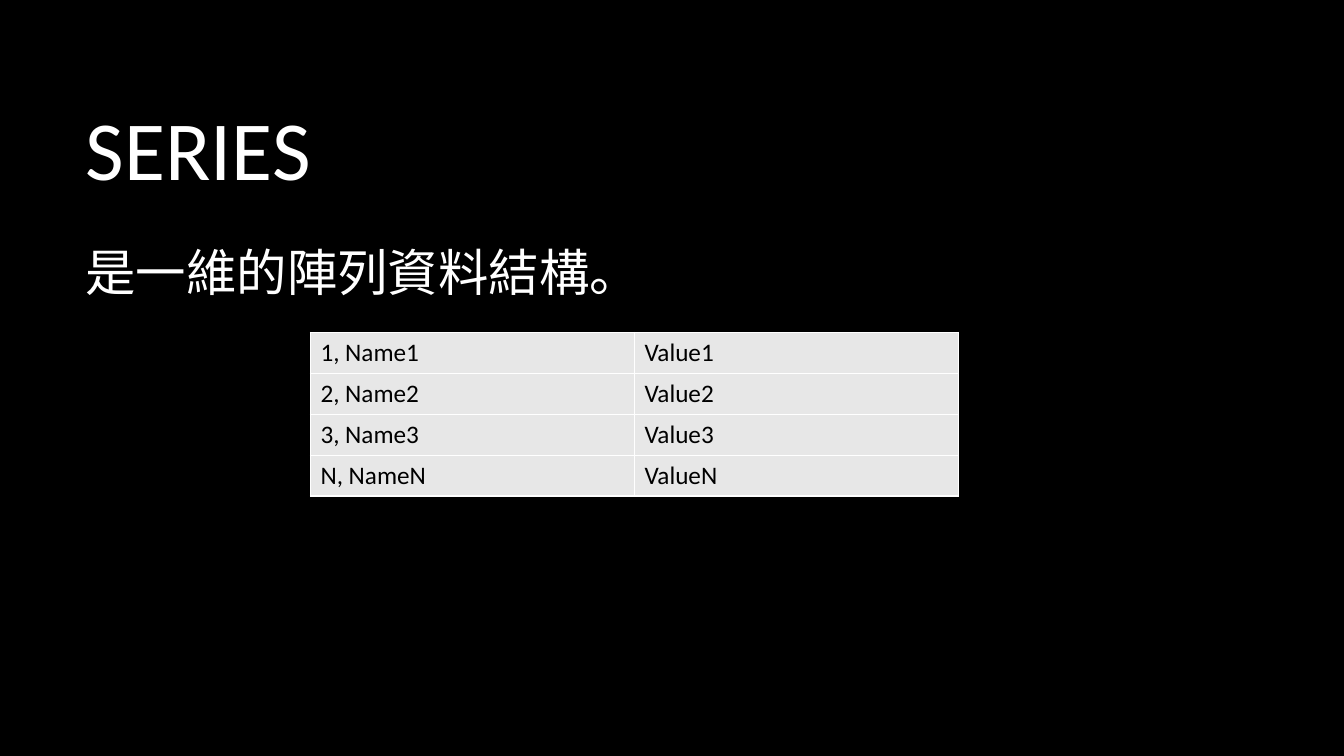
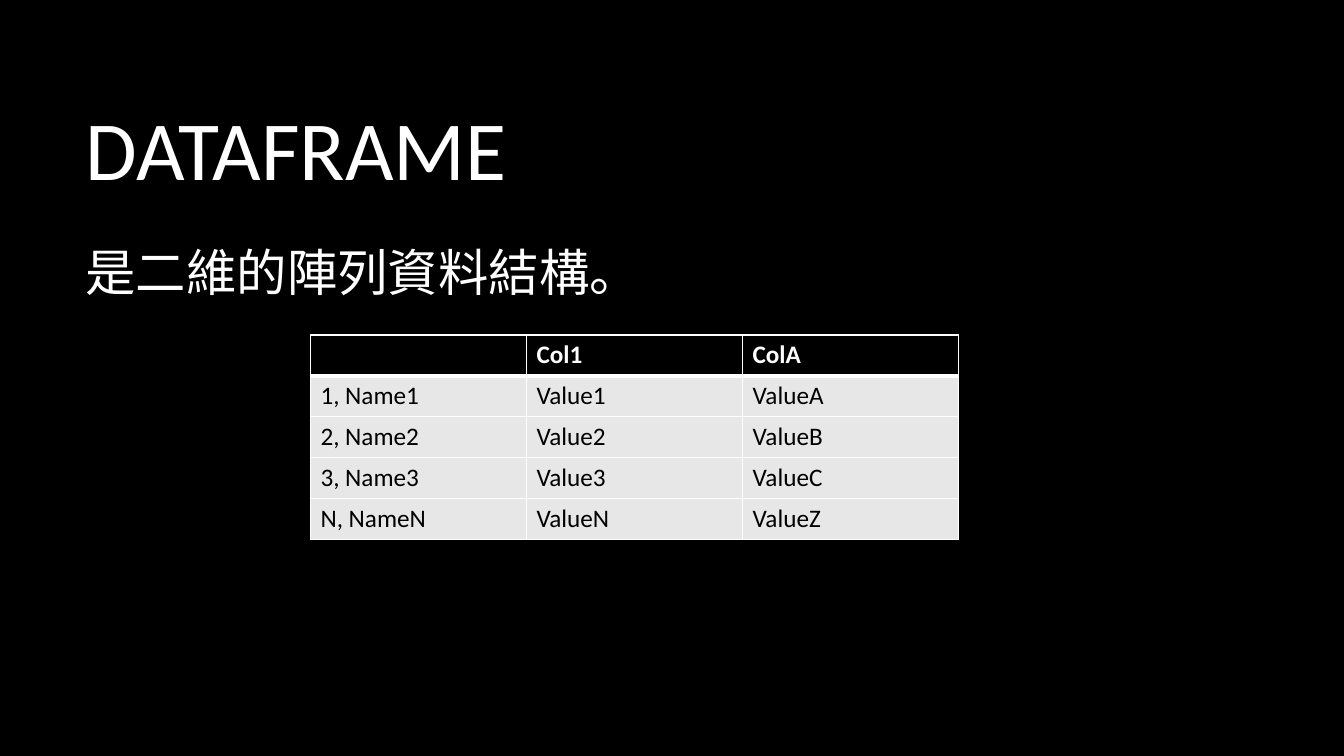
from pptx import Presentation
from pptx.dml.color import RGBColor as Rgb
from pptx.enum.text import MSO_ANCHOR as Anchor, MSO_AUTO_SIZE as Fit, PP_ALIGN as Align
from pptx.oxml import parse_xml
from pptx.oxml.ns import nsdecls
from pptx.util import Pt

HUES = {"back": "000000", "light": "FFFFFF", "dark": "000000", "row": "E7E7E7"}


class Deck:
    font = "Calibri"
    left, width = 54, 798

    def __init__(self):
        self.prs = Presentation()
        self.prs.slide_width, self.prs.slide_height = Pt(960), Pt(540)
        fill = self.prs.slide_master.background.fill
        fill.solid()
        fill.fore_color.rgb = self.hue("back")

    def hue(self, name):
        return Rgb.from_string(HUES[name])

    def style(self, para, size, hue, bold=False):
        font = para.font
        font.name, font.size, font.bold = self.font, Pt(size), bold
        font.color.rgb = self.hue(hue)
        para.alignment = Align.LEFT

    def label(self, shape, text, size, anchor):
        frame = shape.text_frame
        frame.text = text
        frame.word_wrap, frame.auto_size = True, Fit.NONE
        frame.vertical_anchor = anchor
        para = frame.paragraphs[0]
        self.style(para, size, "light")
        return para

    def title(self, text):
        self.slide = self.prs.slides.add_slide(self.prs.slide_layouts[5])
        shape = self.slide.shapes.title
        shape.left, shape.top = Pt(self.left), Pt(48)
        shape.width, shape.height = Pt(self.width), Pt(114.5)
        self.label(shape, text, 60, Anchor.MIDDLE)

    def body(self, text):
        box = self.slide.shapes.add_textbox(
            Pt(self.left), Pt(168.5), Pt(self.width), Pt(287))
        para = self.label(box, text, 36, Anchor.TOP)
        para.space_after = Pt(10)

    def edge(self, cell, side, width):
        cell._tc.get_or_add_tcPr().append(parse_xml(
            f'<a:ln{side} {nsdecls("a")} w="{Pt(width)}"><a:solidFill>'
            f'<a:srgbClr val="{HUES["light"]}"/></a:solidFill></a:ln{side}>'))

    def cell(self, cell, text, head, edges):
        for side, width in edges.items():
            self.edge(cell, side, width)
        cell.fill.solid()
        cell.fill.fore_color.rgb = self.hue("back" if head else "row")
        cell.text = text
        self.style(cell.text_frame.paragraphs[0], 18, "light" if head else "dark", head)

    def table(self, top, rows, head=False):
        wide, high = 463, 29.2
        count = len(rows[0])
        grid = self.slide.shapes.add_table(
            len(rows), count, Pt(221.75), Pt(top), Pt(wide), Pt(high * len(rows))).table
        grid.first_row, grid.horz_banding = head, False
        for col in grid.columns:
            col.width = Pt(wide / count)
        for r, row in enumerate(rows):
            grid.rows[r].height = Pt(high)
            edges = {"L": 1, "R": 1, "T": 3 if head and r == 1 else 1,
                     "B": 3 if head and r == 0 else 1}
            for c, text in enumerate(row):
                self.cell(grid.cell(r, c), text, head and r == 0, edges)


keys = ["1, Name1", "2, Name2", "3, Name3", "N, NameN"]
values = ["Value1", "Value2", "Value3", "ValueN"]
extras = ["ValueA", "ValueB", "ValueC", "ValueZ"]

deck = Deck()
deck.title("SERIES")
deck.body("是一維的陣列資料結構。")
deck.table(237.5, list(zip(keys, values)))

deck.title("DATAFRAME")
deck.body("是二維的陣列資料結構。")
deck.table(239.25, [("", "Col1", "ColA"), *zip(keys, values, extras)], head=True)

deck.prs.save("out.pptx")
